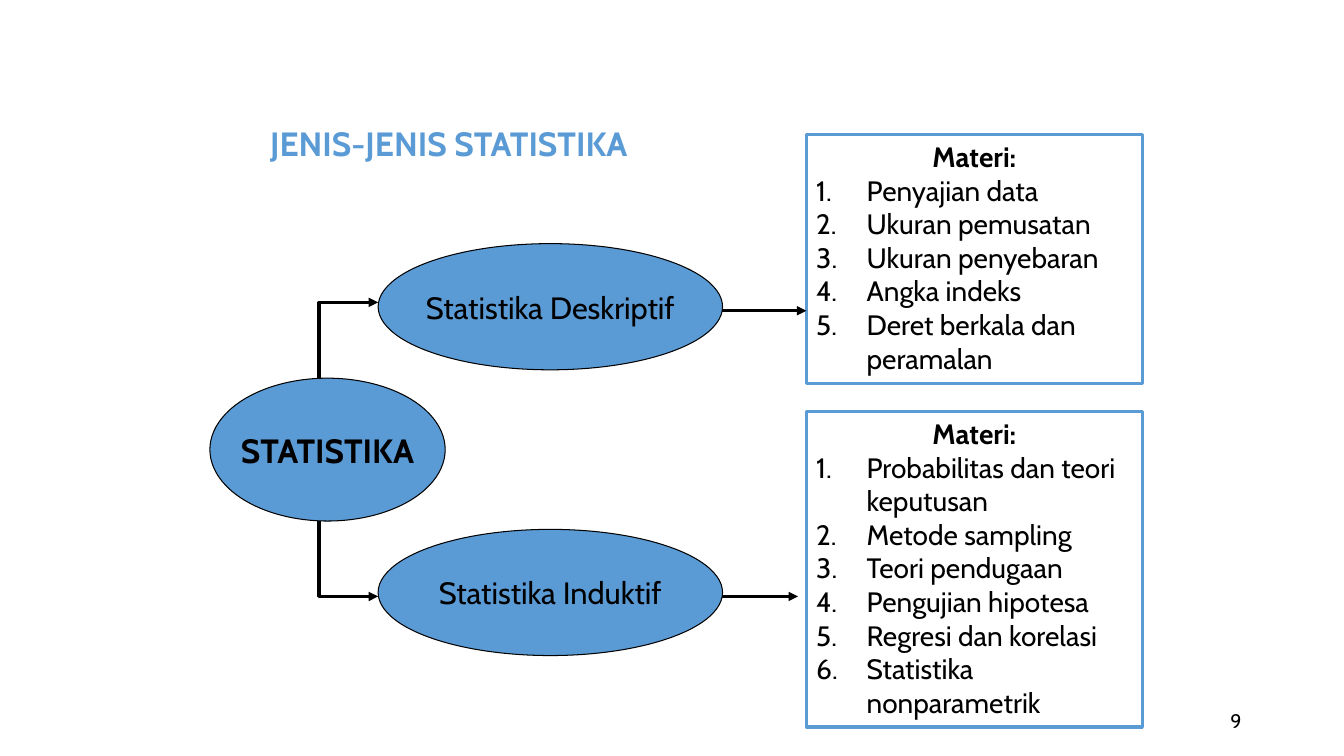
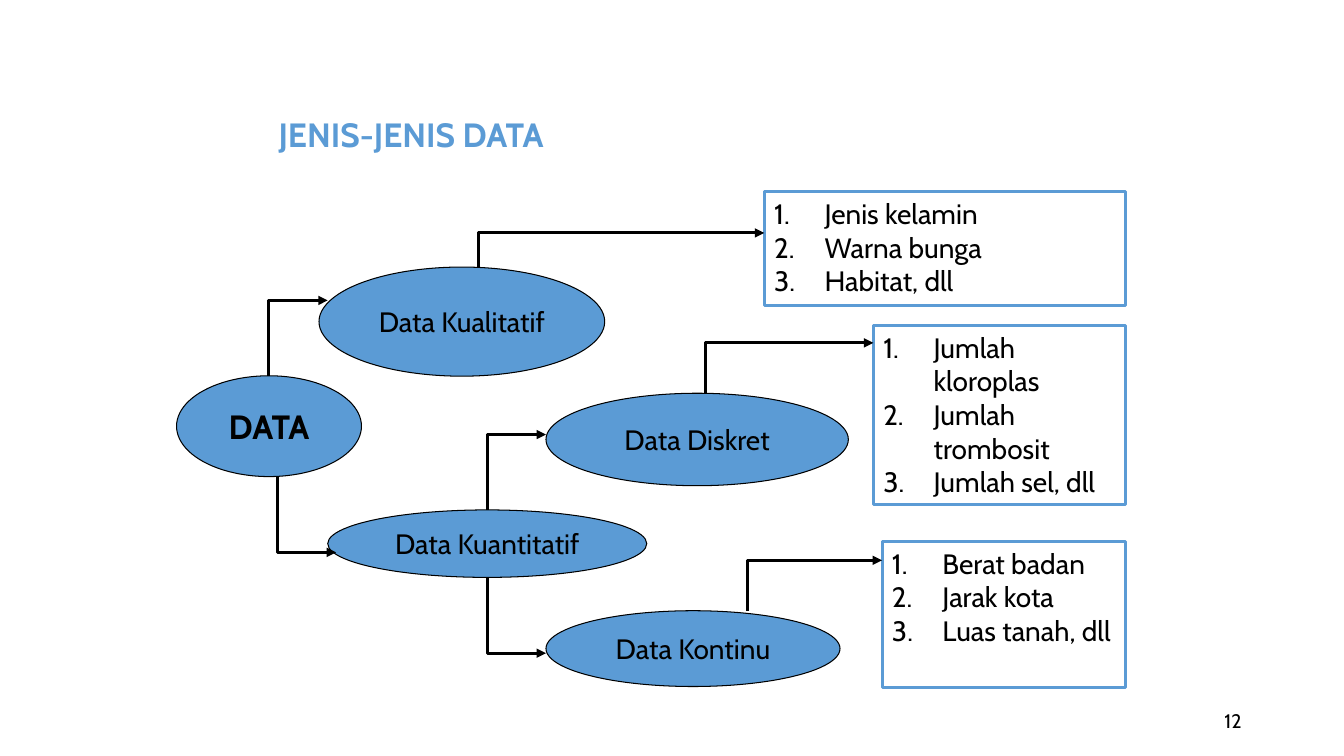
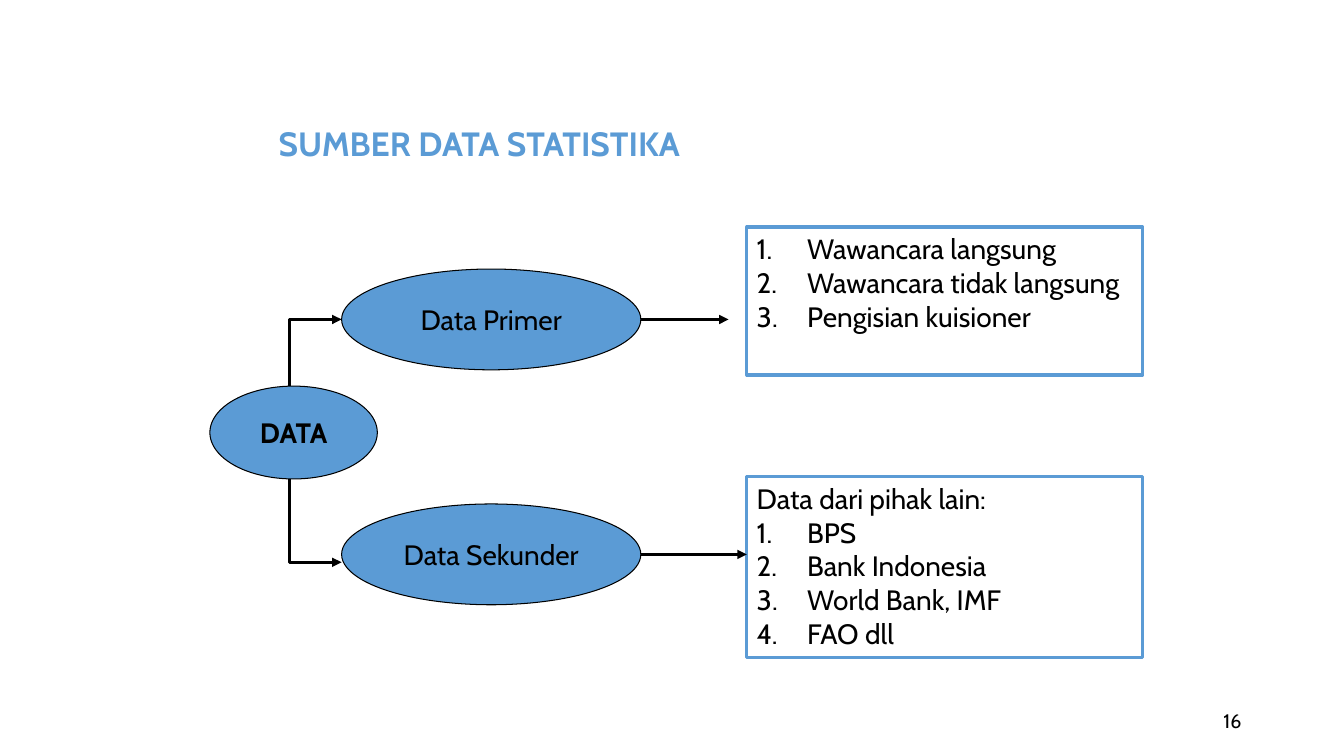
from lxml.etree import SubElement
from pptx import Presentation
from pptx.dml.color import RGBColor
from pptx.enum.shapes import MSO_CONNECTOR, MSO_SHAPE
from pptx.enum.text import MSO_ANCHOR, PP_ALIGN
from pptx.oxml.ns import qn
from pptx.util import Cm, Pt

COLORS = {"accent": "5B9BD5", "ink": "000000"}
FONT = "Cabin"
LIST_INDENT = Cm(1.27)

SLIDES = [
    {
        "number": "9",
        "title": ("JENIS-JENIS STATISTIKA", 6.56, 2.96),
        "ellipses": [
            ("STATISTIKA", 24, True, (5.29, 9.53, 5.93, 3.6)),
            ("Statistika Deskriptif", 22, False, (9.53, 6.14, 8.68, 3.18)),
            ("Statistika Induktif", 22, False, (9.53, 13.34, 8.68, 3.18)),
        ],
        "boxes": [
            ("Materi:", True, (20.32, 3.39, 8.47, 6.28),
             ["Penyajian data", "Ukuran pemusatan", "Ukuran penyebaran",
              "Angka indeks", "Deret berkala dan peramalan"]),
            ("Materi:", True, (20.32, 10.37, 8.47, 7.95),
             ["Probabilitas dan teori keputusan", "Metode sampling", "Teori pendugaan",
              "Pengujian hipotesa", "Regresi dan korelasi", "Statistika nonparametrik"]),
        ],
        "arrows": [
            (8.04, 9.53, 9.53, 7.62),
            (18.2, 7.83, 20.32, 7.83),
            (8.04, 13.12, 9.53, 15.03),
            (18.2, 15.03, 20.11, 15.03),
        ],
    },
    {
        "number": "12",
        "title": ("JENIS-JENIS DATA", 6.77, 2.75),
        "ellipses": [
            ("DATA", 24, True, (4.45, 9.47, 4.66, 2.54)),
            ("Data Kualitatif", 20, False, (8.04, 6.73, 7.2, 2.75)),
            ("Data Kuantitatif", 20, False, (8.26, 12.85, 8.04, 1.7)),
            ("Data Diskret", 20, False, (13.76, 9.91, 7.62, 2.33)),
            ("Data Kontinu", 20, False, (13.76, 15.39, 7.41, 1.91)),
        ],
        "boxes": [
            (None, False, (19.26, 4.83, 9.1, 2.87),
             ["Jenis kelamin", "Warna bunga", "Habitat, dll"]),
            (None, False, (22.01, 8.2, 6.35, 4.52),
             ["Jumlah kloroplas", "Jumlah trombosit", "Jumlah sel, dll"]),
            (None, False, (22.23, 13.64, 6.14, 3.68),
             ["Berat badan", "Jarak kota", "Luas tanah, dll"]),
        ],
        "arrows": [
            (6.77, 9.47, 8.26, 7.57),
            (6.99, 12.01, 8.47, 13.92),
            (12.28, 14.55, 13.76, 16.46),
            (12.28, 12.85, 13.76, 10.95),
            (18.84, 15.39, 22.23, 14.12),
            (17.78, 9.91, 22.01, 8.64),
            (12.07, 6.73, 19.26, 5.87),
        ],
    },
    {
        "number": "16",
        "title": ("SUMBER DATA STATISTIKA", 6.77, 2.96),
        "ellipses": [
            ("DATA", 20, True, (5.29, 9.73, 4.22, 2.34)),
            ("Data Primer", 20, False, (8.61, 6.78, 7.54, 2.54)),
            ("Data Sekunder", 20, False, (8.61, 12.7, 7.54, 2.54)),
        ],
        "boxes": [
            (None, False, (18.82, 5.72, 9.98, 3.73),
             ["Wawancara langsung", "Wawancara tidak langsung", "Pengisian kuisioner"]),
            ("Data dari pihak lain:", False, (18.82, 12.01, 9.98, 4.57),
             ["BPS", "Bank Indonesia", "World Bank, IMF", "FAO dll"]),
        ],
        "arrows": [
            (7.29, 9.73, 8.61, 8.05),
            (7.29, 12.07, 8.61, 14.17),
            (16.15, 8.05, 18.36, 8.05),
            (16.15, 13.97, 18.82, 13.97),
        ],
    },
]


def write(paragraph, text, size, bold=False, color="ink", alignment=PP_ALIGN.LEFT):
    paragraph.add_run().text = text
    paragraph.alignment = alignment
    paragraph.font.name = FONT
    paragraph.font.size = Pt(size)
    paragraph.font.bold = bold
    paragraph.font.color.rgb = RGBColor.from_string(COLORS[color])


def outline(shape, color, width):
    shape.line.color.rgb = RGBColor.from_string(COLORS[color])
    shape.line.width = Pt(width)


presentation = Presentation()
presentation.slide_width = Cm(33.87)
presentation.slide_height = Cm(19.05)

for content in SLIDES:
    slide = presentation.slides.add_slide(presentation.slide_layouts[6])

    page_number = slide.shapes.add_textbox(Cm(23.92), Cm(17.65), Cm(7.62), Cm(1.02))
    page_number.text_frame.word_wrap = True
    page_number.text_frame.vertical_anchor = MSO_ANCHOR.MIDDLE
    write(page_number.text_frame.paragraphs[0], content["number"], 14, alignment=PP_ALIGN.RIGHT)

    title_text, left, top = content["title"]
    title = slide.shapes.add_textbox(Cm(left), Cm(top), Cm(20.11), Cm(1.27))
    title.text_frame.word_wrap = True
    write(title.text_frame.paragraphs[0], title_text, 24, True, "accent")

    for text, size, bold, bounds in content["ellipses"]:
        ellipse = slide.shapes.add_shape(MSO_SHAPE.OVAL, *map(Cm, bounds))
        ellipse.shadow.inherit = False
        ellipse.fill.solid()
        ellipse.fill.fore_color.rgb = RGBColor.from_string(COLORS["accent"])
        outline(ellipse, "ink", 0.75)
        ellipse.text_frame.word_wrap = False
        ellipse.text_frame.vertical_anchor = MSO_ANCHOR.MIDDLE
        write(ellipse.text_frame.paragraphs[0], text, size, bold, alignment=PP_ALIGN.CENTER)

    for heading, emphasized, bounds, items in content["boxes"]:
        box = slide.shapes.add_shape(MSO_SHAPE.RECTANGLE, *map(Cm, bounds))
        box.shadow.inherit = False
        box.fill.background()
        outline(box, "accent", 2.25)
        box.text_frame.word_wrap = True
        box.text_frame.vertical_anchor = MSO_ANCHOR.TOP
        lines = ([heading] if heading else []) + items
        for index, text in enumerate(lines):
            paragraph = box.text_frame.paragraphs[0] if index == 0 else box.text_frame.add_paragraph()
            properties = paragraph._p.get_or_add_pPr()
            properties.set("marL", str(LIST_INDENT))
            properties.set("indent", str(-LIST_INDENT))
            is_heading = bool(heading) and index == 0
            if not is_heading:
                SubElement(properties, qn("a:buAutoNum"), type="arabicPeriod")
            strong = is_heading and emphasized
            write(paragraph, text, 20, strong,
                  alignment=PP_ALIGN.CENTER if strong else PP_ALIGN.LEFT)

    for arrow in content["arrows"]:
        start_x, start_y, end_x, end_y = map(Cm, arrow)
        if start_y == end_y:
            shape = slide.shapes.add_connector(MSO_CONNECTOR.STRAIGHT, start_x, start_y, end_x, end_y)
            outline(shape, "ink", 2.25)
            SubElement(shape._element.spPr, qn("a:effectLst"))
        else:
            builder = slide.shapes.build_freeform(start_x, start_y)
            builder.add_line_segments([(start_x, end_y), (end_x, end_y)], close=False)
            shape = builder.convert_to_shape()
            shape.shadow.inherit = False
            shape.fill.background()
            outline(shape, "ink", 2.25)
        SubElement(shape._element.spPr.find(qn("a:ln")), qn("a:tailEnd"), type="triangle")

presentation.save("out.pptx")
